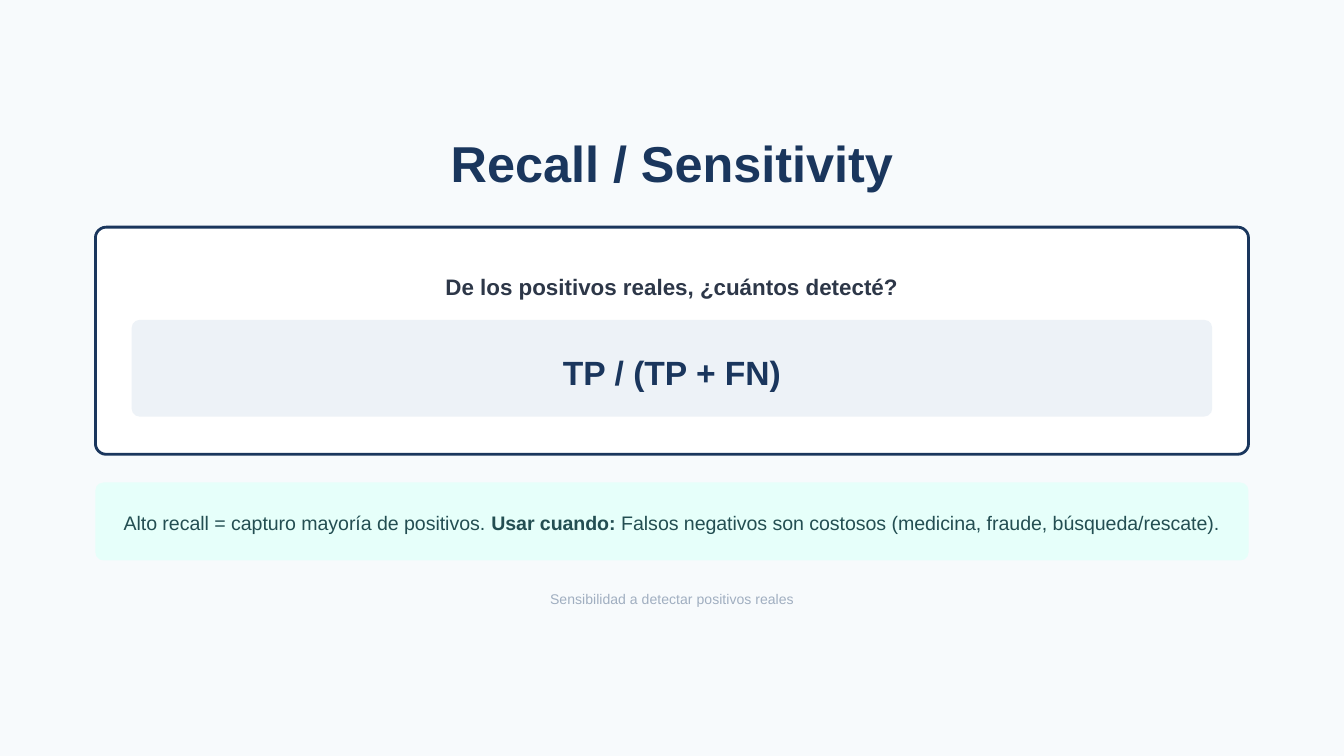
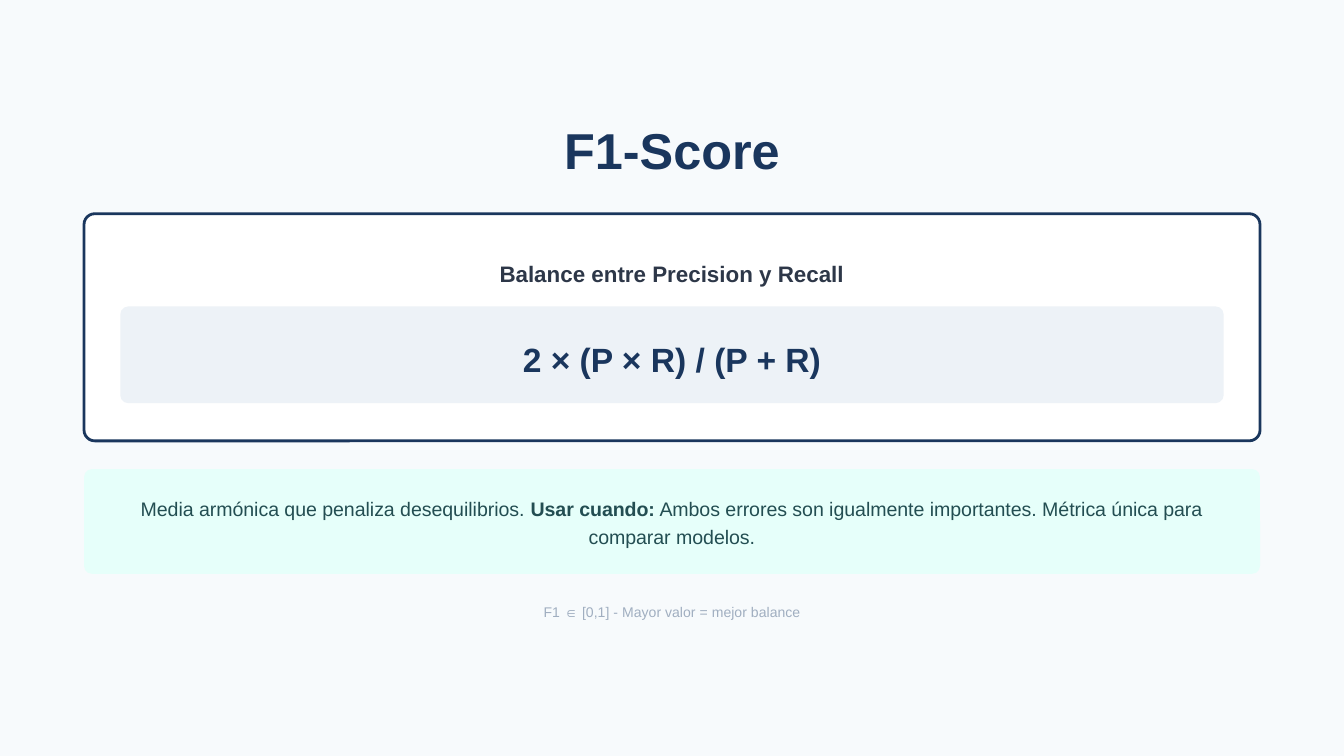
from pptx import Presentation
from pptx.dml.color import RGBColor
from pptx.enum.shapes import MSO_SHAPE as Shape
from pptx.enum.text import PP_ALIGN as Align
from pptx.util import Inches, Pt

PAPER = RGBColor(0xF7, 0xFA, 0xFC)
WHITE = RGBColor(0xFF, 0xFF, 0xFF)
NAVY = RGBColor(0x1A, 0x36, 0x5D)
SLATE = RGBColor(0x2D, 0x37, 0x48)
GREY = RGBColor(0xED, 0xF2, 0xF7)
MINT = RGBColor(0xE6, 0xFF, 0xFA)
TEAL = RGBColor(0x23, 0x4E, 0x52)
MUTED = RGBColor(0xA0, 0xAE, 0xC0)

FONT = "Arial"
WIDE = 10
CARD, BAND = 1.69, 0.72  # heights

CUE = "Usar cuando:"
METRICS = [
    dict(title="Recall / Sensitivity",
         ask="De los positivos reales, ¿cuántos detecté?",
         rule="TP / (TP + FN)",
         note=["Alto recall = capturo mayoría de positivos. ", CUE,
               " Falsos negativos son costosos (medicina, fraude, "
               "búsqueda/rescate)."],
         foot="Sensibilidad a detectar positivos reales",
         top=1.06, width=8.58, high=0.58),
    dict(title="F1-Score",
         ask="Balance entre Precision y Recall",
         rule="2 × (P × R) / (P + R)",
         note=["Media armónica que penaliza desequilibrios. ", CUE,
               " Ambos errores son igualmente importantes. "
               "Métrica única para comparar modelos."],
         foot="F1 ∈ [0,1] - Mayor valor = mejor balance",
         top=0.96, width=8.75, high=0.78),
]


def frame(top, width, high):
    """Place a box centred across the slide."""
    return [Inches(n) for n in ((WIDE - width) / 2, top, width, high)]


def panel(slide, top, width, high, fill, radius, edge=None):
    box = slide.shapes.add_shape(Shape.ROUNDED_RECTANGLE,
                                 *frame(top, width, high))
    box.adjustments[0] = radius / high
    box.shadow.inherit = False
    box.fill.solid()
    box.fill.fore_color.rgb = fill
    if edge:
        box.line.color.rgb = edge
        box.line.width = Pt(1.5)
    else:
        box.line.fill.background()


def label(slide, top, width, high, parts, size, lead, color, bold=False):
    """Write one centred paragraph; the cue within it is bold."""
    text = slide.shapes.add_textbox(*frame(top, width, high)).text_frame
    text.word_wrap = True
    text.margin_left = text.margin_right = 0
    text.margin_top = text.margin_bottom = 0
    para = text.paragraphs[0]
    para.alignment = Align.CENTER
    para.line_spacing = Pt(lead)
    font = para.font
    font.name, font.size, font.bold = FONT, Pt(size), bold
    font.color.rgb = color
    for part in parts:
        run = para.add_run()
        run.text = part
        if part == CUE:
            run.font.bold = True


def build(deck, item):
    slide = deck.slides.add_slide(deck.slide_layouts[6])
    slide.background.fill.solid()
    slide.background.fill.fore_color.rgb = PAPER
    top, width, high = item["top"], item["width"], item["high"]
    base = top + 2.53

    label(slide, top, 4.4, 0.38, [item["title"]], 27, 27, NAVY, True)
    panel(slide, top + 0.63, width, CARD, WHITE, 0.08, NAVY)
    label(slide, top + 0.94, width - 0.38, 0.23, [item["ask"]],
          12, 16.8, SLATE, True)
    panel(slide, top + 1.32, width - 0.54, BAND, GREY, 0.06)
    label(slide, top + 1.51, width - 0.76, 0.35, [item["rule"]],
          18, 25.2, NAVY, True)
    panel(slide, base, width, high, MINT, 0.06)
    label(slide, base + 0.18, width - 0.21, high - 0.38, item["note"],
          10.5, 14.7, TEAL)
    label(slide, base + high + 0.2, width + 0.17, 0.15, [item["foot"]],
          7.5, 10.5, MUTED)


def main():
    deck = Presentation()
    deck.slide_width = Inches(WIDE)
    deck.slide_height = Inches(WIDE * 9 / 16)
    for item in METRICS:
        build(deck, item)
    deck.save("out.pptx")


if __name__ == "__main__":
    main()
